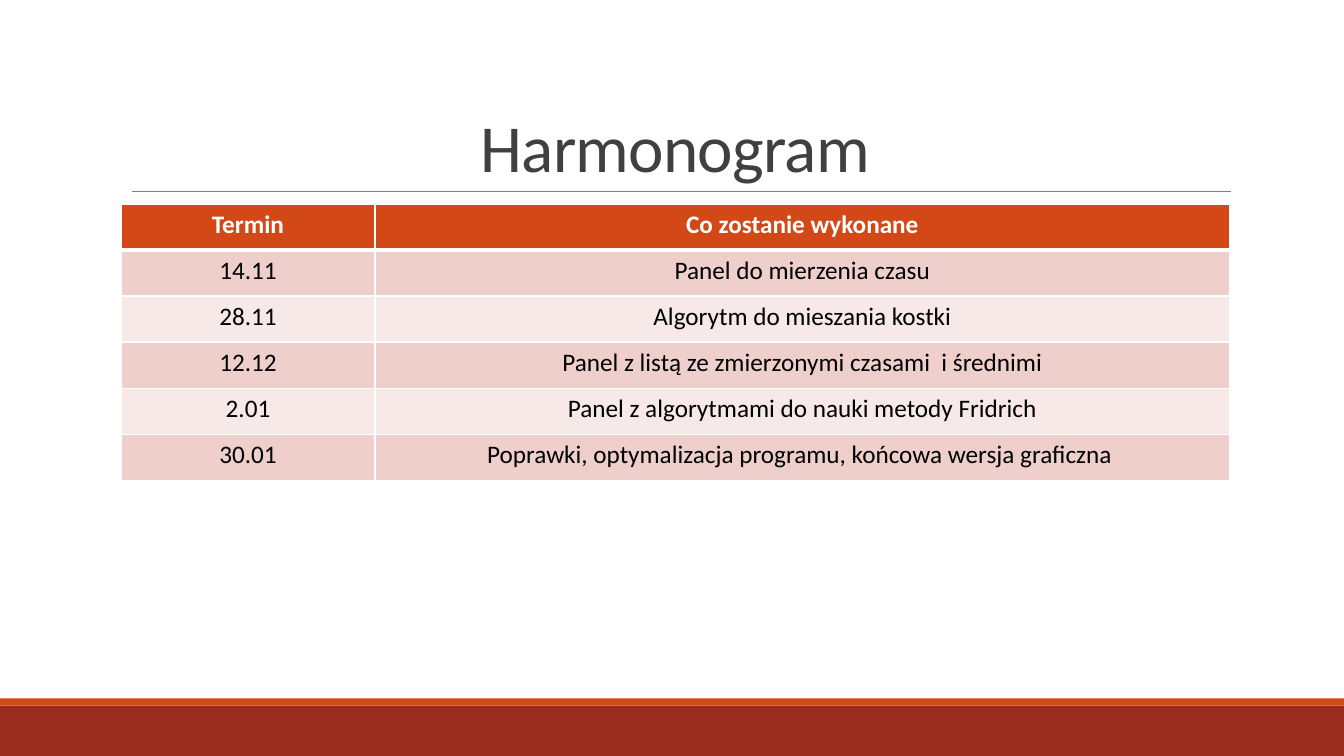
"""Builds the project schedule slide."""
import lxml.etree
import pptx
import pptx.dml.color
import pptx.enum.shapes
import pptx.enum.text
import pptx.oxml
import pptx.oxml.ns
import pptx.util
from pptx.util import Cm

COLORS = {
    "white": "FFFFFF",
    "black": "000000",
    "title": "404040",
    "rule": "808080",
    "orange": "D34817",
    "brick": "9B2D1F",
    "band_dark": "EFCFCC",
    "band_light": "F7E9E8",
}
FONT = "Calibri"
PAGE_WIDTH, PAGE_HEIGHT = 33.87, 19.05
TABLE_LEFT, TABLE_TOP = 3.05, 5.14
COLUMN_WIDTHS = [6.4, 21.54]
ROW_HEIGHT = 1.16
SCHEDULE = [
    ("Termin", "Co zostanie wykonane"),
    ("14.11", "Panel do mierzenia czasu"),
    ("28.11", "Algorytm do mieszania kostki"),
    ("12.12", "Panel z listą ze zmierzonymi czasami  i średnimi"),
    ("2.01", "Panel z algorytmami do nauki metody Fridrich"),
    ("30.01", "Poprawki, optymalizacja programu, końcowa wersja graficzna "),
]


def color(name):
    """Return the named colour as an RGB value."""
    return pptx.dml.color.RGBColor.from_string(COLORS[name])


def write_centered(frame, text, size, color_name, bold=False):
    """Write one centred paragraph and return it."""
    frame.text = text
    para = frame.paragraphs[0]
    para.alignment = pptx.enum.text.PP_ALIGN.CENTER
    font = para.runs[0].font
    font.name = FONT
    font.size = pptx.util.Pt(size)
    font.bold = bold
    font.color.rgb = color(color_name)
    return para


def add_band(page, top, height, color_name):
    """Add a full-width footer band."""
    band = page.shapes.add_shape(
        pptx.enum.shapes.MSO_SHAPE.RECTANGLE, 0, Cm(top), Cm(PAGE_WIDTH), Cm(height)
    )
    band.shadow.inherit = False
    band.fill.solid()
    band.fill.fore_color.rgb = color(color_name)
    band.line.fill.background()


def add_rule(page, left, right, top):
    """Add the thin line under the title."""
    rule = page.shapes.add_connector(
        pptx.enum.shapes.MSO_CONNECTOR.STRAIGHT, Cm(left), Cm(top), Cm(right), Cm(top)
    )
    rule.line.color.rgb = color("rule")
    rule.line.width = pptx.util.Pt(0.5)
    lxml.etree.SubElement(
        rule._element.spPr, pptx.oxml.ns.qn("a:effectLst")
    )


def add_title(page, text):
    """Add the slide title, resting on the rule."""
    box = page.shapes.add_textbox(Cm(3.05), Cm(0.79), Cm(27.94), Cm(4.04))
    frame = box.text_frame
    frame.word_wrap = True
    frame.vertical_anchor = pptx.enum.text.MSO_ANCHOR.BOTTOM
    para = write_centered(frame, text, 48, "title")
    para.line_spacing = 0.85
    para.runs[0]._r.get_or_add_rPr().set("spc", "-50")


def set_borders(cell, top, bottom):
    """Give a cell white borders, with top and bottom widths in points."""
    properties = cell._tc.get_or_add_tcPr()
    for side, width in (("L", 1), ("R", 1), ("T", top), ("B", bottom)):
        properties.append(pptx.oxml.parse_xml(
            f'<a:ln{side} {pptx.oxml.ns.nsdecls("a")} w="{pptx.util.Pt(width)}">'
            f'<a:solidFill><a:srgbClr val="{COLORS["white"]}"/></a:solidFill>'
            f'</a:ln{side}>'
        ))


def add_schedule(page):
    """Add the table of dates and tasks."""
    table = page.shapes.add_table(
        len(SCHEDULE), len(COLUMN_WIDTHS), Cm(TABLE_LEFT), Cm(TABLE_TOP),
        Cm(sum(COLUMN_WIDTHS)), Cm(ROW_HEIGHT * len(SCHEDULE)),
    ).table
    for column, width in zip(table.columns, COLUMN_WIDTHS):
        column.width = Cm(width)
    for index, texts in enumerate(SCHEDULE):
        header = index == 0
        band = "band_dark" if index % 2 else "band_light"
        table.rows[index].height = Cm(ROW_HEIGHT)
        for cell, text in zip(table.rows[index].cells, texts):
            write_centered(
                cell.text_frame, text, 18, "white" if header else "black", header
            )
            set_borders(cell, 3 if index == 1 else 1, 3 if header else 1)
            cell.fill.solid()
            cell.fill.fore_color.rgb = color("orange" if header else band)


def main():
    """Build and save the deck."""
    deck = pptx.Presentation()
    deck.slide_width, deck.slide_height = Cm(PAGE_WIDTH), Cm(PAGE_HEIGHT)
    page = deck.slides.add_slide(deck.slide_layouts[6])
    add_band(page, 17.78, 1.27, "brick")
    add_band(page, 17.6, 0.18, "orange")
    add_rule(page, 3.33, 31.01, 4.83)
    add_title(page, "Harmonogram")
    add_schedule(page)
    deck.save("out.pptx")


main()
